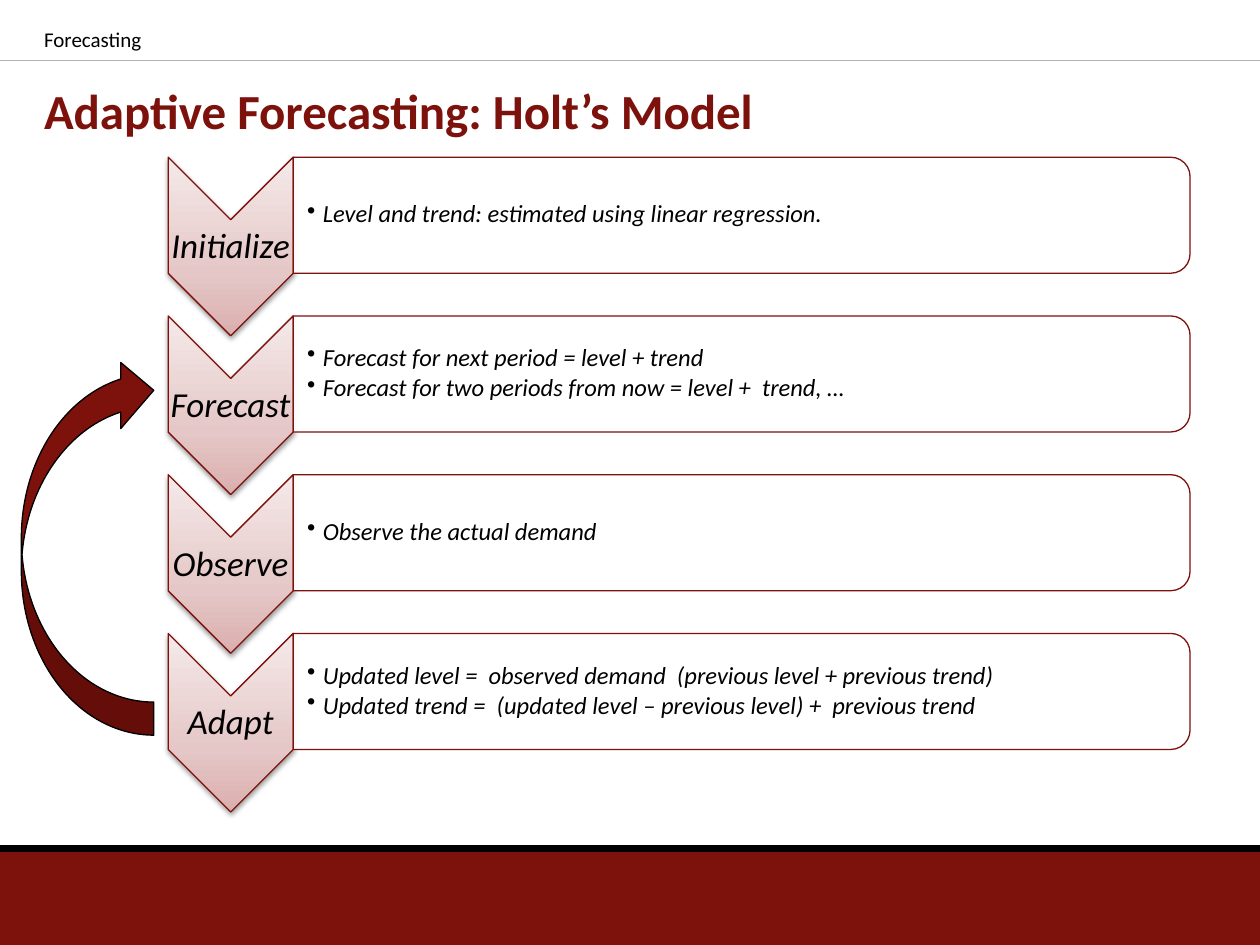
"""Build the slide on adaptive forecasting with Holt's model."""
import copy

import lxml.etree
import pptx
import pptx.dml.color
import pptx.enum.shapes
import pptx.enum.text
import pptx.oxml.ns
import pptx.util

Cm, Pt = pptx.util.Cm, pptx.util.Pt
Kind = pptx.enum.shapes.MSO_SHAPE
Align = pptx.enum.text.PP_ALIGN
qn = pptx.oxml.ns.qn

HEAD = "Forecasting"
TITLE = "Adaptive Forecasting: Holt’s Model"
STEPS = [
    ("Initialize", ["Level and trend: estimated using linear regression."]),
    ("Forecast", ["Forecast for next period = level + trend",
                  "Forecast for two periods from now = level +  trend, …"]),
    ("Observe", ["Observe the actual demand"]),
    ("Adapt", ["Updated level =  observed demand  (previous level + previous trend)",
               "Updated trend =  (updated level – previous level) +  previous trend"]),
]
THEME = {
    "font": "Calibri", "red": "7D110C", "black": "000000", "white": "FFFFFF",
    "gray": "B0B2B4", "fade": [(0, "DBAEAE"), (0.35, "E5C7C7"), (1, "F5E9E9")],
    "head": 12, "title": 28, "label": 20, "body": 14, "line": 0.75, "bar": 3.75,
}
WIDE, HIGH = 25.4, 19.05
TOP, STEP = 3.17, 3.2
LEFT, ARROW_W, ARROW_H = 3.39, 2.52, 3.6
BOX_W, BOX_H = 18.08, 2.34


def tint(name):
    return pptx.dml.color.RGBColor.from_string(THEME.get(name, name))


def add_node(root, tag, **attrs):
    return lxml.etree.SubElement(root, qn(tag), {k: str(v) for k, v in attrs.items()})


def add_form(slide, kind, x, y, w, h, fill=None, line=None, turn=0):
    if turn == 90:
        x, y, w, h = x + (w - h) / 2, y + (h - w) / 2, h, w
    form = slide.shapes.add_shape(kind, Cm(x), Cm(y), Cm(w), Cm(h))
    form.rotation = turn
    form.shadow.inherit = False
    if fill:
        form.fill.solid()
        form.fill.fore_color.rgb = tint(fill)
    if line:
        form.line.color.rgb = tint(line)
        form.line.width = Pt(THEME["line"])
    else:
        form.line.fill.background()
    return form


def add_rule(slide, y, color, width):
    rule = slide.shapes.add_connector(
        pptx.enum.shapes.MSO_CONNECTOR.STRAIGHT, 0, Cm(y), Cm(WIDE), Cm(y))
    rule.line.color.rgb = tint(color)
    rule.line.width = Pt(THEME[width])
    add_node(rule._element.spPr, "a:effectLst")


def add_text(slide, x, y, w, h, lines, size, color="black", bold=False,
             slant=False, align=Align.LEFT, pad=None, dots=False, mid=True):
    box = slide.shapes.add_textbox(Cm(x), Cm(y), Cm(w), Cm(h))
    frame = box.text_frame
    frame.word_wrap = True
    if mid:
        frame.vertical_anchor = pptx.enum.text.MSO_ANCHOR.MIDDLE
    if pad is not None:
        frame.margin_left = Cm(pad)
        frame.margin_right = frame.margin_top = frame.margin_bottom = Cm(0.03)
    frame.text = "\n".join(lines)
    for para in frame.paragraphs:
        para.alignment = align
        if dots:
            props = para._p.get_or_add_pPr()
            props.set("marL", str(Cm(0.32)))
            props.set("indent", str(-Cm(0.32)))
            add_node(props, "a:buChar", char="•")
            para.space_after = Pt(2.1)
        if slant:
            para.line_spacing = 0.9
        font = para.font
        font.name, font.size = THEME["font"], Pt(THEME[size])
        font.bold, font.italic = bold, slant
        font.color.rgb = tint(color)


def add_arrow(slide, y):
    arrow = add_form(slide, Kind.CHEVRON, LEFT, y, ARROW_W, ARROW_H, line="red", turn=90)
    arrow.fill.gradient()
    arrow.fill.gradient_angle = 90
    props = arrow._element.spPr
    props.find(qn("a:gradFill")).set("rotWithShape", "0")
    stops = props.find(".//" + qn("a:gsLst"))
    stops.insert(1, copy.deepcopy(stops[0]))
    for stop, (place, color) in zip(arrow.fill.gradient_stops, THEME["fade"]):
        stop.position = place
        stop.color.rgb = tint(color)
    shade = add_node(props.find(qn("a:effectLst")), "a:outerShdw", blurRad=Pt(3.1),
                     dist=Pt(1.6), dir=5400000, rotWithShape=0)
    add_node(add_node(shade, "a:srgbClr", val=THEME["black"]), "a:alpha", val=38000)


def add_step(slide, y, label, lines):
    add_arrow(slide, y)
    add_text(slide, LEFT, y + 1.27, ARROW_W, 1.09, [label], "label",
             slant=True, align=Align.CENTER, pad=0.03)
    edge = LEFT + ARROW_W
    box = add_form(slide, Kind.ROUND_2_SAME_RECTANGLE, edge, y, BOX_W, BOX_H,
                   "white", "red", 90)
    color = box._element.spPr.find(qn("a:solidFill"))[0]
    add_node(color, "a:alpha", val=90000)
    add_text(slide, edge, y + 0.11, BOX_W - 0.11, BOX_H - 0.23, lines, "body",
             slant=True, pad=0.28, dots=True)


def main():
    deck = pptx.Presentation()
    deck.slide_width, deck.slide_height = Cm(WIDE), Cm(HIGH)
    slide = deck.slides.add_slide(deck.slide_layouts[6])
    add_form(slide, Kind.RECTANGLE, 0, 17.15, WIDE, HIGH - 17.15, "red")
    add_rule(slide, 1.22, "gray", "line")
    add_rule(slide, 17.1, "black", "bar")
    add_text(slide, 0.64, 1.48, 23.34, 1.48, [TITLE], "title", "red", bold=True)
    for i, (label, lines) in enumerate(STEPS):
        add_step(slide, TOP + i * STEP, label, lines)
    add_text(slide, 0.64, 0.42, 13.77, 0.84, [HEAD], "head", mid=False)
    add_form(slide, Kind.CURVED_LEFT_ARROW, 0.43, 7.2, 2.67, 7.62, "red", "black", 180)
    deck.save("out.pptx")


if __name__ == "__main__":
    main()
